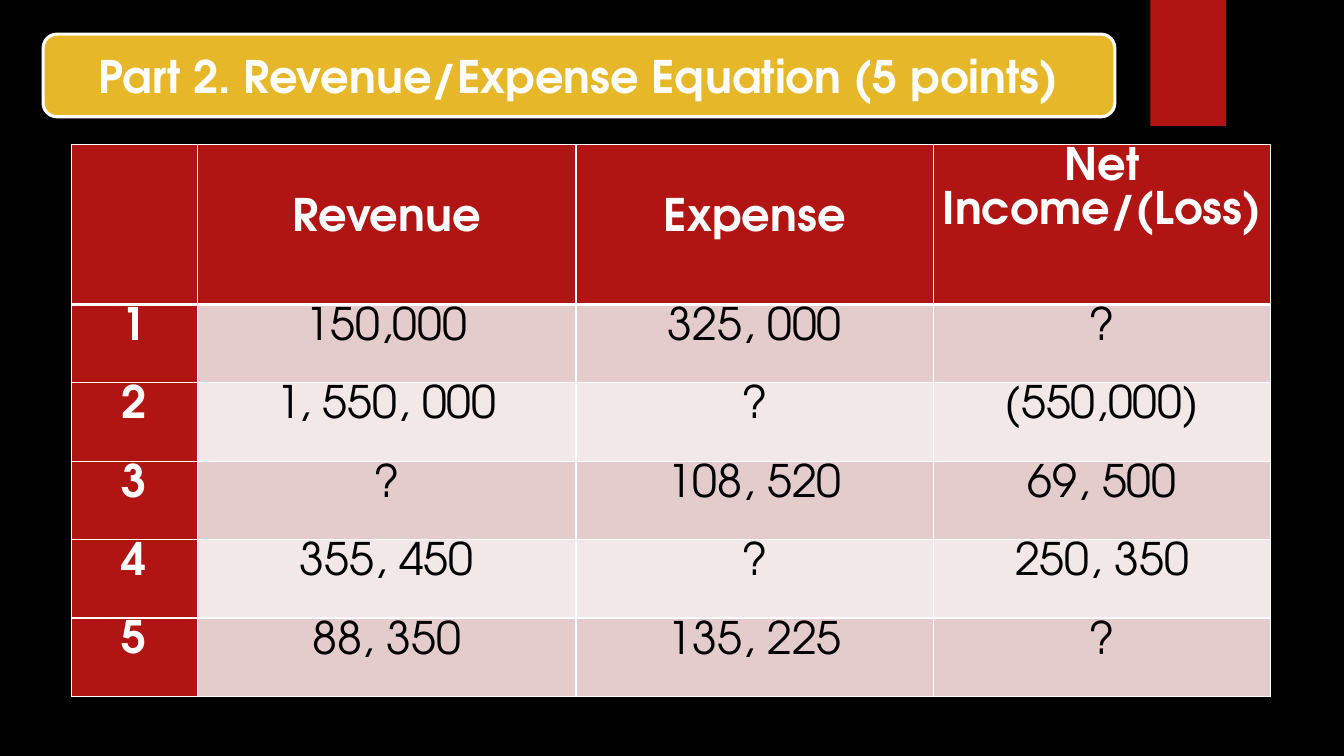
from pptx import Presentation
from pptx.dml.color import RGBColor
from pptx.enum.shapes import MSO_SHAPE
from pptx.enum.text import MSO_ANCHOR, PP_ALIGN
from pptx.oxml import parse_xml
from pptx.oxml.ns import nsdecls
from pptx.util import Pt

FONT = "TeX Gyre Adventor"
RED, GOLD, WHITE, BLACK = "B01513", "E6B729", "FFFFFF", "000000"
BANDS = ["E4CCCC", "F2E8E7"]
HEADS = ["", "Revenue", "Expense", "Net Income/(Loss)"]
ROWS = [
    ["1", "150,000", "325, 000", "?"],
    ["2", "1, 550, 000", "?", "(550,000)"],
    ["3", "?", "108, 520", "69, 500"],
    ["4", "355, 450", "?", "250, 350"],
    ["5", "88, 350", "135, 225", "?"],
]


def paint(fill, color):
    fill.solid()
    fill.fore_color.rgb = RGBColor.from_string(color)


def write(frame, text, color=WHITE, bold=True, size=32, line=None, after=0):
    para = frame.paragraphs[0]
    para.alignment = PP_ALIGN.CENTER
    para.space_before, para.space_after = Pt(0), Pt(after)
    para.line_spacing = line
    run = para.add_run()
    run.text = text
    font = run.font
    font.name, font.size, font.bold = FONT, Pt(size), bold
    font.color.rgb = RGBColor.from_string(color)


def block(slide, kind, box, color, edge=None):
    shape = slide.shapes.add_shape(kind, *map(Pt, box))
    shape.shadow.inherit = False
    paint(shape.fill, color)
    if edge:
        paint(shape.line.fill, edge)
        shape.line.width = Pt(2.25)
    else:
        shape.line.fill.background()
    return shape


def border(cell, base):
    # Border elements come before the cell's fill
    props = cell._tc.get_or_add_tcPr()
    for i, side in enumerate("LRTB"):
        width = Pt(base if side == "B" else 1)
        props.insert(i, parse_xml(
            f'<a:ln{side} {nsdecls("a")} w="{width}"><a:solidFill>'
            f'<a:srgbClr val="{WHITE}"/></a:solidFill></a:ln{side}>'))


def banner(slide, box):
    # Rounded panel with the title on top
    block(slide, MSO_SHAPE.ROUNDED_RECTANGLE, box, GOLD, WHITE)
    title = slide.shapes.title
    title.left, title.top, title.width, title.height = map(Pt, box)
    frame = title.text_frame
    frame.word_wrap = True
    frame.vertical_anchor = MSO_ANCHOR.MIDDLE
    write(frame, "Part 2. Revenue/Expense Equation (5 points)")
    slide.shapes._spTree.append(title.element)


def grid(slide, box):
    data = [HEADS] + ROWS
    table = slide.shapes.add_table(
        len(data), len(HEADS), *map(Pt, box)).table
    for col, width in zip(table.columns, [90, 270.5, 255.5, 240.5]):
        col.width = Pt(width)
    head = 114.5
    step = (box[3] - head) / len(ROWS)
    for r, texts in enumerate(data):
        table.rows[r].height = Pt(step if r else head)
        for c, text in enumerate(texts):
            cell = table.cell(r, c)
            label = r == 0 or c == 0
            paint(cell.fill, RED if label else BANDS[(r - 1) % 2])
            border(cell, 1 if r else 3)
            cell.margin_left = cell.margin_right = Pt(5)
            # Short headings sit one line lower
            low = r == 0 and c in (1, 2)
            cell.margin_top = Pt(37 if low else 0)
            cell.margin_bottom = Pt(0)
            if text:
                write(cell.text_frame, text, WHITE if label else BLACK,
                      label, line=1.07, after=8)


def main():
    deck = Presentation()
    deck.slide_width, deck.slide_height = Pt(960), Pt(540)
    slide = deck.slides.add_slide(deck.slide_layouts[5])
    paint(slide.background.fill, BLACK)
    # Red tab at the top edge
    block(slide, MSO_SHAPE.RECTANGLE, (821.8, 0, 54, 90), RED)
    grid(slide, (51, 103, 856.5, 394.5))
    banner(slide, (30.8, 24.4, 765.5, 59))
    deck.save("out.pptx")


if __name__ == "__main__":
    main()
